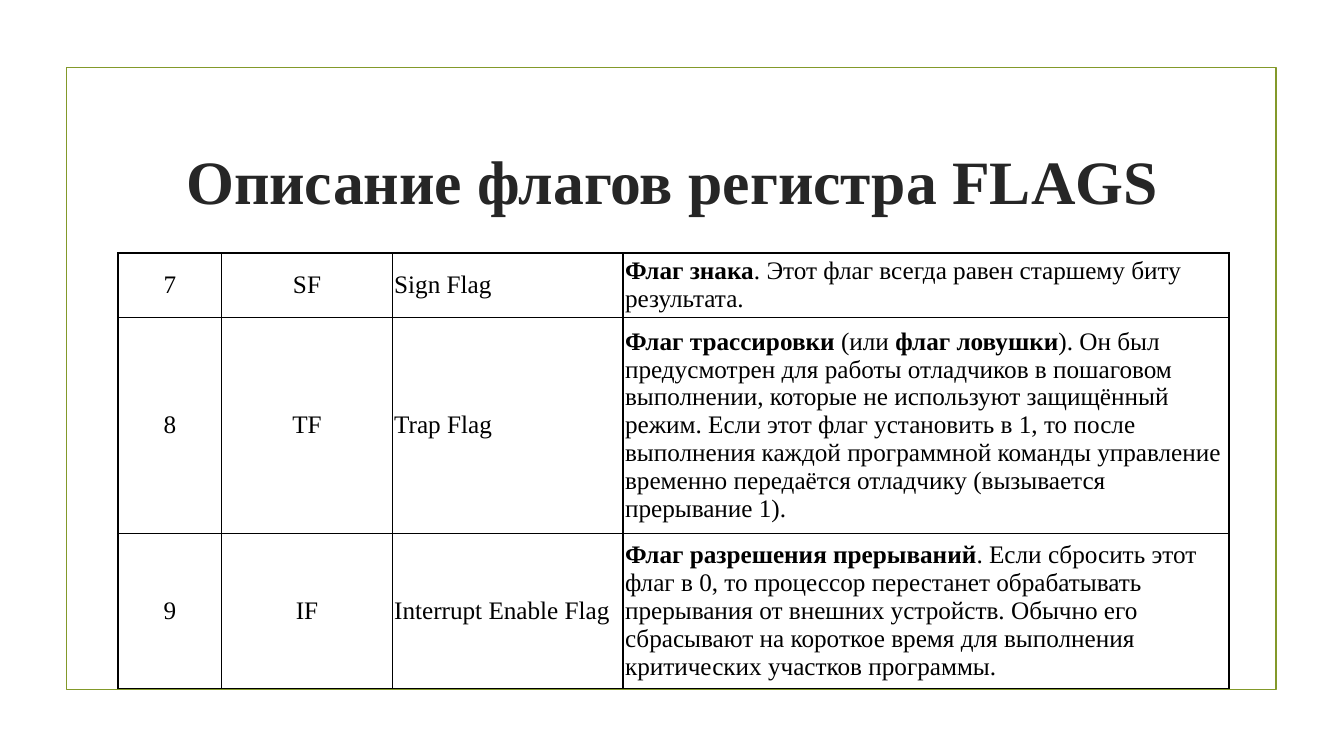
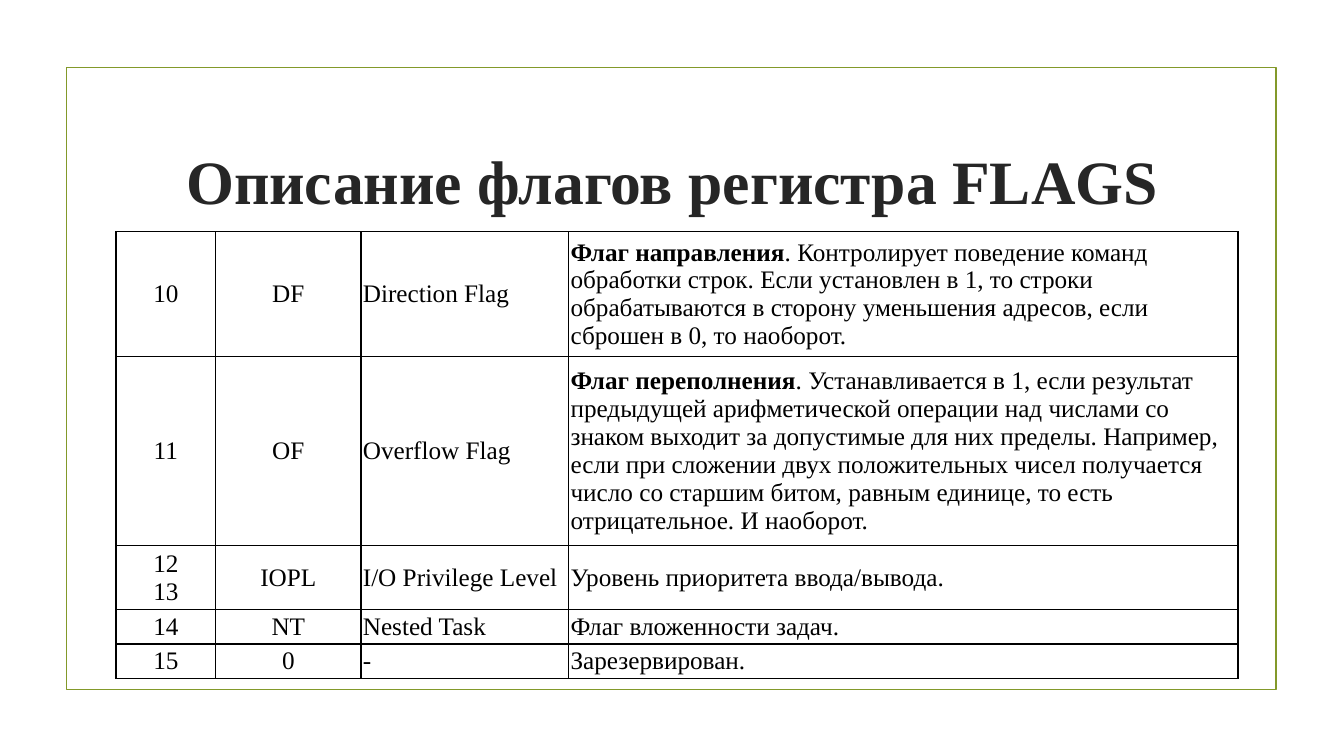
from lxml import etree
from pptx import Presentation
from pptx import util as u
from pptx.dml.color import RGBColor
from pptx.enum import shapes, text
from pptx.oxml import ns

TITLE = "Описание флагов регистра FLAGS"

SECTIONS = [
    {
        "origin": (1.17, 2.51),
        "widths": (1.03, 1.69, 2.29, 6.01),
        "heights": (0.59, 1.98, 1.42),
        "flags": [
            ("7", "SF", "Sign Flag",
             "**Флаг знака**. Этот флаг всегда равен старшему биту результата."),
            ("8", "TF", "Trap Flag",
             "**Флаг трассировки** (или **флаг ловушки**). Он был предусмотрен для "
             "работы отладчиков в пошаговом выполнении, которые не используют "
             "защищённый режим. Если этот флаг установить в 1, то после выполнения "
             "каждой программной команды управление временно передаётся отладчику "
             "(вызывается прерывание 1)."),
            ("9", "IF", "Interrupt Enable Flag",
             "**Флаг разрешения прерываний**. Если сбросить этот флаг в 0, то "
             "процессор перестанет обрабатывать прерывания от внешних устройств. "
             "Обычно его сбрасывают на короткое время для выполнения критических "
             "участков программы."),
        ],
    },
    {
        "origin": (1.15, 2.3),
        "widths": (0.99, 1.44, 2.06, 6.64),
        "heights": (1.15, 1.87, 0.59, 0.32, 0.32),
        "flags": [
            ("10", "DF", "Direction Flag",
             "**Флаг направления**. Контролирует поведение команд обработки строк. "
             "Если установлен в 1, то строки обрабатываются в сторону уменьшения "
             "адресов, если сброшен в 0, то наоборот."),
            ("11", "OF", "Overflow Flag",
             "**Флаг переполнения**. Устанавливается в 1, если результат предыдущей "
             "арифметической операции над числами со знаком выходит за допустимые "
             "для них пределы. Например, если при сложении двух положительных чисел "
             "получается число со старшим битом, равным единице, то есть "
             "отрицательное. И наоборот."),
            ("12\n13", "IOPL", "I/O Privilege Level",
             "Уровень приоритета ввода/вывода."),
            ("14", "NT", "Nested Task", "Флаг вложенности задач."),
            ("15", "0", "-", "Зарезервирован."),
        ],
    },
]


def color(value):
    return RGBColor.from_string(value)


def assign(target, values):
    for name, value in values.items():
        setattr(target, name, value)


class Deck:
    """Holds the shared style and the slide being built."""

    font = "Times New Roman"
    accent, heading, ink, paper = "83992A", "262626", "000000", "FFFFFF"
    insets = dict.fromkeys(
        ("margin_left", "margin_right", "margin_top", "margin_bottom"), u.Inches(0.02))

    def __init__(self):
        self.deck = Presentation()
        assign(self.deck, {"slide_width": u.Inches(13.33), "slide_height": u.Inches(7.5)})
        self.slide = None

    def add_slide(self, title):
        self.slide = self.deck.slides.add_slide(self.deck.slide_layouts[6])
        self.add_frame()
        self.add_title(title)

    def add_frame(self):
        frame = self.slide.shapes.add_shape(
            shapes.MSO_SHAPE.RECTANGLE, *map(u.Inches, (0.66, 0.67, 12, 6.17)))
        frame.shadow.inherit = False
        frame.fill.background()
        frame.line.color.rgb = color(self.accent)
        frame.line.width = u.Pt(1.25)

    def add_title(self, title):
        heading = self.slide.shapes.add_textbox(*map(u.Inches, (1.42, 1.07, 10.5, 1.43)))
        assign(heading.text_frame, {
            "word_wrap": True, "vertical_anchor": text.MSO_ANCHOR.MIDDLE})
        self.add_text(heading.text_frame.paragraphs[0], f"**{title}**", 44,
                      self.heading, text.PP_ALIGN.CENTER)

    def add_text(self, paragraph, marked, size, ink, align):
        paragraph.alignment = align
        for line_number, line in enumerate(marked.split("\n")):
            if line_number:
                paragraph.add_line_break()
            for part_number, part in enumerate(line.split("**")):
                if part:
                    run = paragraph.add_run()
                    run.text = part
                    assign(run.font, {"name": self.font, "size": u.Pt(size),
                                      "bold": part_number % 2 == 1})
                    run.font.color.rgb = color(ink)

    def add_borders(self, cell):
        properties = cell._tc.get_or_add_tcPr()
        for side in ("lnL", "lnR", "lnT", "lnB"):
            border = etree.SubElement(properties, ns.qn(f"a:{side}"), w=str(u.Pt(1)))
            fill = etree.SubElement(border, ns.qn("a:solidFill"))
            etree.SubElement(fill, ns.qn("a:srgbClr"), val=self.ink)

    def add_flag_table(self, origin, widths, heights, flags):
        extent = (*origin, sum(widths), sum(heights))
        table = self.slide.shapes.add_table(
            len(heights), len(widths), *map(u.Inches, extent)).table
        assign(table, {"first_row": False, "horz_banding": False})
        for column, width in zip(table.columns, widths):
            column.width = u.Inches(width)
        for row, height, flag in zip(table.rows, heights, flags):
            row.height = u.Inches(height)
            for position, (cell, content) in enumerate(zip(row.cells, flag)):
                self.add_borders(cell)
                cell.fill.solid()
                cell.fill.fore_color.rgb = color(self.paper)
                assign(cell, {**self.insets, "vertical_anchor": text.MSO_ANCHOR.MIDDLE})
                align = text.PP_ALIGN.CENTER if position < 2 else text.PP_ALIGN.LEFT
                self.add_text(cell.text_frame.paragraphs[0], content, 18, self.ink, align)


def main():
    flags_deck = Deck()
    for section in SECTIONS:
        flags_deck.add_slide(TITLE)
        flags_deck.add_flag_table(**section)
    flags_deck.deck.save("out.pptx")


if __name__ == "__main__":
    main()
